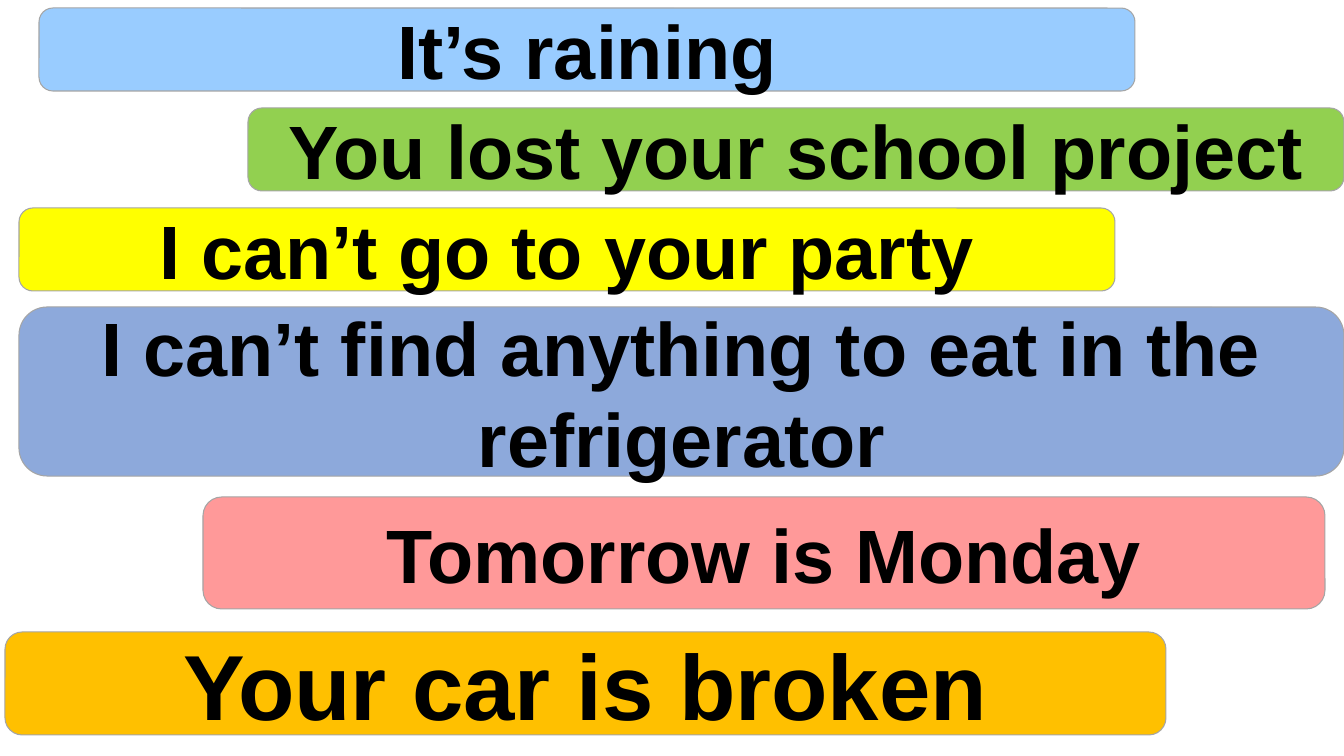
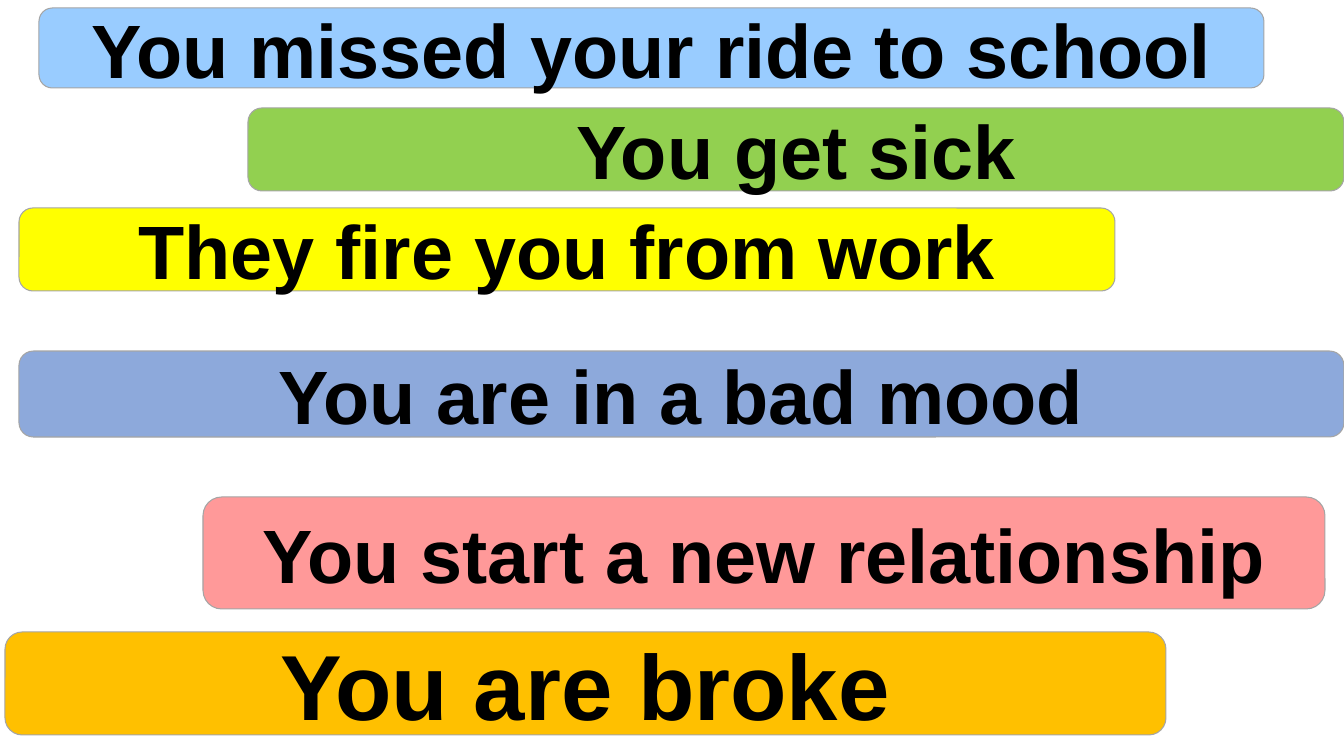
from pptx import Presentation
from pptx.dml.color import RGBColor
from pptx.enum.shapes import MSO_SHAPE
from pptx.enum.text import MSO_ANCHOR, PP_ALIGN
from pptx.util import Pt

# Content: one sentence per bar, top to bottom
SITUATIONS = [
    ["It’s raining", "You lost your school project", "I can’t go to your party",
     "I can’t find anything to eat in the refrigerator", "Tomorrow is Monday",
     "Your car is broken"],
    ["You missed your ride to school", "You get sick", "They fire you from work",
     "You are in a bad mood", "You start a new relationship", "You are broke"],
]

# Shared bars: (left, top, width, height) in pixels, fill, text size
BARS = [
    ((39, 8, 1096, 83), "99CCFF", 54),
    ((248, 108, 1096, 83), "92D050", 54),
    ((19, 208, 1096, 83), "FFFF00", 54),
    ((19, 307, 1325, 169), "8DA9DB", 54),
    ((203, 497, 1122, 112), "FF9999", 54),
    ((5, 632, 1161, 103), "FFC000", 66),
]
# Bars that differ, by (slide index, bar index)
RESIZED = {(1, 0): (39, 8, 1225, 80), (1, 3): (19, 351, 1325, 86)}

OUTLINE, INK = "A5A5A5", "000000"
FONT_FORMAT = {"name": "Arial", "bold": True}
FRAME_FORMAT = {"word_wrap": True, "vertical_anchor": MSO_ANCHOR.MIDDLE}
SLIDE_WIDTH, SLIDE_HEIGHT = 1344, 756
EMU_PER_PIXEL = 914400 / 100.8


def px(pixels):
    return round(pixels * EMU_PER_PIXEL)


def rgb(color):
    return RGBColor.from_string(color)


def apply_format(target, values):
    for attribute, value in values.items():
        setattr(target, attribute, value)


def add_bar(slide, sentence, box, fill, size):
    bar = slide.shapes.add_shape(MSO_SHAPE.ROUNDED_RECTANGLE, *map(px, box))
    bar.shadow.inherit = False
    bar.fill.solid()
    bar.fill.fore_color.rgb = rgb(fill)
    bar.line.color.rgb = rgb(OUTLINE)
    bar.line.width = Pt(0.75)

    # Sentence
    apply_format(bar.text_frame, FRAME_FORMAT)
    line = bar.text_frame.paragraphs[0]
    line.alignment = PP_ALIGN.CENTER
    run = line.add_run()
    run.text = sentence
    apply_format(run.font, {**FONT_FORMAT, "size": Pt(size)})
    run.font.color.rgb = rgb(INK)


# Build the slides
deck = Presentation()
deck.slide_width, deck.slide_height = px(SLIDE_WIDTH), px(SLIDE_HEIGHT)
for page, sentences in enumerate(SITUATIONS):
    slide = deck.slides.add_slide(deck.slide_layouts[6])
    for row, (sentence, (box, fill, size)) in enumerate(zip(sentences, BARS)):
        add_bar(slide, sentence, RESIZED.get((page, row), box), fill, size)

deck.save("out.pptx")
